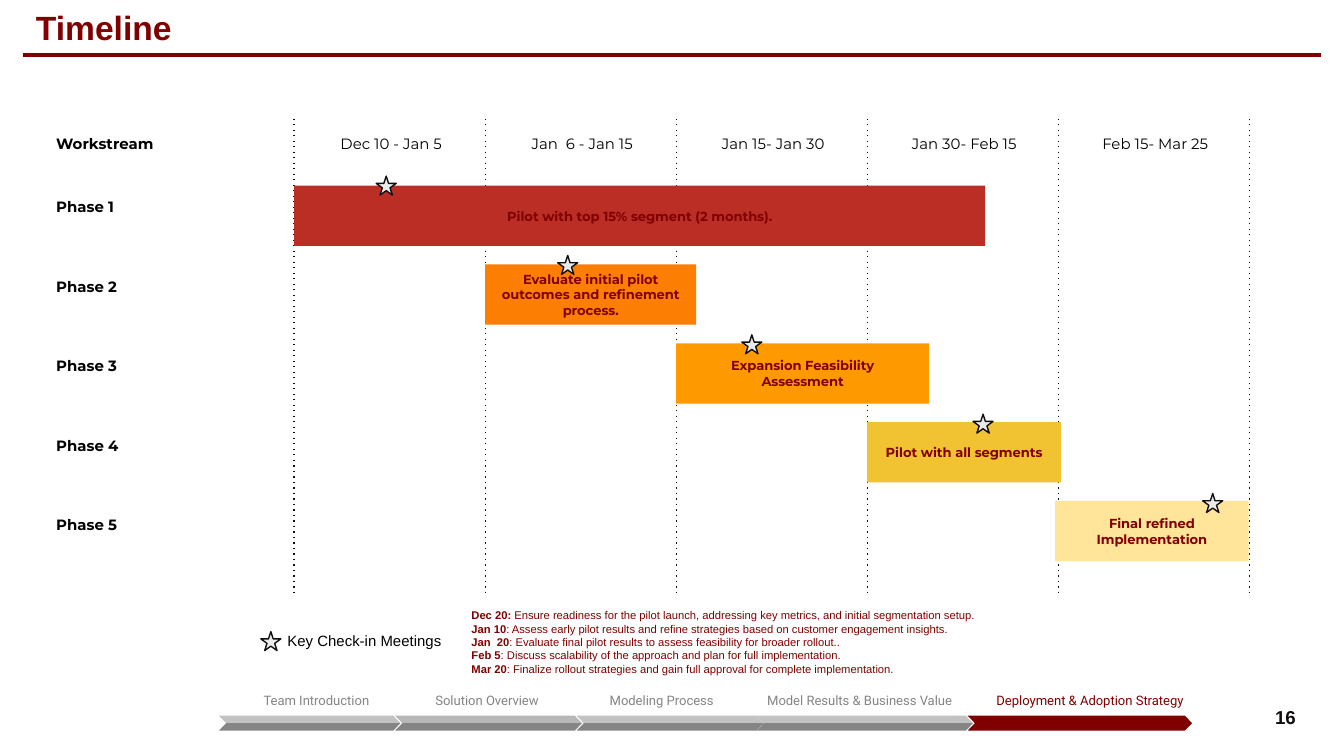
from lxml.etree import SubElement
from pptx import Presentation
from pptx.dml.color import RGBColor
from pptx.enum.dml import MSO_LINE
from pptx.enum.shapes import MSO_CONNECTOR, MSO_SHAPE
from pptx.enum.text import MSO_ANCHOR, MSO_AUTO_SIZE, PP_ALIGN
from pptx.oxml.ns import qn
from pptx.util import Cm, Pt

RED, INK, GRAY = "800000", "110E0E", "858585"
LEFT, STEP = 5.56, 3.61
INSET = 0.25
PLAIN_STYLE = "{2D5ABB26-0587-4C30-8999-92F81FD0307C}"

DATES = ["Dec 10 - Jan 5", "Jan  6 - Jan 15", "Jan 15- Jan 30",
         "Jan 30- Feb 15", "Feb 15- Mar 25"]
PHASES = [
    (LEFT, 13.06, "BB2E26", "Pilot with top 15% segment (2 months).", 7.11),
    (LEFT + STEP, 3.99, "FC7F04",
     "Evaluate initial pilot outcomes and refinement process.", 10.54),
    (LEFT + 2 * STEP, 4.78, "FF9900", "Expansion Feasibility Assessment", 14.02),
    (LEFT + 3 * STEP, 3.66, "F1C232", "Pilot with all segments", 18.39),
    (19.94, 3.66, "FFE599", "Final refined Implementation", 22.73),
]
CHECKS = [
    ("Dec 20: ", "Ensure readiness for the pilot launch, addressing key metrics, "
     "and initial segmentation setup."),
    ("Jan 10", ": Assess early pilot results and refine strategies based on "
     "customer engagement insights."),
    ("Jan  20", ": Evaluate final pilot results to assess feasibility for "
     "broader rollout.."),
    ("Feb 5", ": Discuss scalability of the approach and plan for full "
     "implementation."),
    ("Mar 20", ": Finalize rollout strategies and gain full approval for "
     "complete implementation."),
]
STAGES = [
    ("Team Introduction", 4.34, 3.28, 4.14, 3.43, "C2C2C2", GRAY, GRAY, {}),
    ("Solution Overview", 7.06, 4.29, 7.47, 3.53, "B7B7B7", GRAY, GRAY, {}),
    ("Modeling Process", 10.36, 4.29, 10.9, 3.53, "C2C2C2", GRAY, GRAY, {}),
    ("Model Results & Business Value", 14.25, 4.78, 14.3, 4.09, "C2C2C2", GRAY,
     GRAY, {"align": PP_ALIGN.LEFT}),
    ("Deployment & Adoption Strategy", 17.55, 5.44, 18.29, 4.24, RED, RED,
     RED, {"indent": 0.66}),
]


def put(item, form):
    for name, value in form.items():
        setattr(item, name, value)


def tint(color, code):
    color.rgb = RGBColor.from_string(code)


def style(font, size, face, code, bold=False):
    put(font, {"size": Pt(size), "name": face, "bold": bold})
    tint(font.color, code)


def frame(body, anchor=MSO_ANCHOR.TOP, side=INSET, edge=INSET):
    put(body, {"word_wrap": True, "auto_size": MSO_AUTO_SIZE.NONE,
               "vertical_anchor": anchor,
               "margin_left": Cm(side), "margin_right": Cm(side),
               "margin_top": Cm(edge), "margin_bottom": Cm(edge)})


def write(body, text, size, face, code, bold=False, align=PP_ALIGN.LEFT):
    para = body.paragraphs[0]
    para.text = text
    para.alignment = align
    style(para.runs[0].font, size, face, code, bold)
    return para


def place(item, x, y, w, h):
    put(item, {"left": Cm(x), "top": Cm(y), "width": Cm(w), "height": Cm(h)})


def label(shapes, box, *words, **form):
    body = shapes.add_textbox(*map(Cm, box)).text_frame
    frame(body)
    write(body, *words, **form)
    return body


def rule(shapes, x, y, end, low, code, width, dotted=False):
    line = shapes.add_connector(MSO_CONNECTOR.STRAIGHT, *map(Cm, (x, y, end, low)))
    line.line.width = Pt(width)
    tint(line.line.color, code)
    props = line._element.spPr
    if dotted:
        line.line.dash_style = MSO_LINE.ROUND_DOT
        props.find(".//" + qn("a:prstDash")).set("val", "dot")
    SubElement(props, qn("a:effectLst"))


def block(shapes, kind, box, code, edge=None):
    shape = shapes.add_shape(kind, *map(Cm, box))
    shape.shadow.inherit = False
    shape.fill.solid()
    tint(shape.fill.fore_color, code)
    if edge:
        shape.line.width = Pt(0.75)
        tint(shape.line.color, edge)
    else:
        shape.line.fill.background()
    return shape


def star(shapes, x, y):
    block(shapes, MSO_SHAPE.STAR_5_POINT, (x, y, 0.38, 0.36), "EAEAEA", INK)


def bar(shapes, x, y, w, code, text):
    body = block(shapes, MSO_SHAPE.RECTANGLE, (x, y, w, 1.14), code).text_frame
    frame(body, MSO_ANCHOR.MIDDLE)
    write(body, text, 7, "Montserrat", RED, True, PP_ALIGN.CENTER)


def grid(shapes):
    rows, cols = len(PHASES) + 1, len(DATES) + 1
    table = shapes.add_table(rows, cols, Cm(0.81), Cm(1.93),
                             Cm(4.78 + 5 * STEP), Cm(9.07)).table
    put(table, {"first_row": False, "horz_banding": False})
    table._tbl.tblPr.find(qn("a:tableStyleId")).text = PLAIN_STYLE
    for i, col in enumerate(table.columns):
        col.width = Cm(STEP if i else 4.78)
    for i, row in enumerate(table.rows):
        row.height = Cm(1.5 if i else 1.57)
    for cell in table.iter_cells():
        cell.fill.background()
        put(cell, dict.fromkeys(("margin_left", "margin_right", "margin_top",
                                 "margin_bottom"), Cm(INSET)))
    for i, text in enumerate(["Workstream"] + DATES):
        cell = table.cell(0, i)
        cell.vertical_anchor = MSO_ANCHOR.MIDDLE
        write(cell.text_frame, text, 8, "Montserrat", "000000", i == 0,
              PP_ALIGN.CENTER if i else PP_ALIGN.LEFT)
    for i in range(1, rows):
        write(table.cell(i, 0).text_frame, f"Phase {i}", 8, "Montserrat",
              "000000", True)


def checks(holder):
    place(holder, 8.66, 11.25, 14.45, 1.8)
    body = holder.text_frame
    frame(body)
    for i, pair in enumerate(CHECKS):
        para = body.paragraphs[0] if i == 0 else body.add_paragraph()
        props = para._p.get_or_add_pPr()
        props.set("marL", "0")
        props.set("indent", "0")
        SubElement(props, qn("a:buNone"))
        put(para, {"alignment": PP_ALIGN.LEFT, "space_before": Pt(0)})
        for text, bold in zip(pair, (True, False)):
            run = para.add_run()
            run.text = text
            style(run.font, 6, "Arial", RED, bold)


def stage(shapes, text, x, w, start, span, top, base, code, form):
    group = shapes.add_group_shape().shapes
    body = label(group, (x, 12.8, w, 0.66), text, 7, "Roboto", code,
                 align=form.get("align", PP_ALIGN.CENTER))
    body.margin_left = Cm(INSET + form.get("indent", 0))
    body.paragraphs[0].line_spacing = 1.15
    for i, shade in enumerate((top, base)):
        half = block(group, MSO_SHAPE.PARALLELOGRAM,
                     (start, 13.53 + 0.14 * i, span, 0.14), shade)
        half.adjustments[0] = 0.97
        if i == 0:
            half._element.spPr.find(qn("a:xfrm")).set("flipH", "1")


def main():
    deck = Presentation()
    put(deck, {"slide_width": Cm(25.4), "slide_height": Cm(14.29)})
    slide = deck.slides.add_slide(deck.slide_layouts[1])
    shapes = slide.shapes

    rule(shapes, 0.43, 1.04, 24.97, 1.04, RED, 2)
    place(shapes.title, 0.43, -0.25, 24.54, 1.52)
    frame(shapes.title.text_frame, MSO_ANCHOR.MIDDLE, edge=0.13)
    write(shapes.title.text_frame, "Timeline", 18, "Arial", RED, True)

    for i in range(len(DATES) + 1):
        x = LEFT + i * STEP
        rule(shapes, x, 2.24, x, 11.23, INK, 0.75, True)
    grid(shapes)
    for i, (x, w, code, text, spot) in enumerate(PHASES):
        bar(shapes, x, 3.51 + 1.49 * i, w, code, text)
        star(shapes, spot, 3.33 + 1.5 * i)

    star(shapes, 4.93, 11.94)
    key = label(shapes, (5.11, 11.68, 3.56, 0.86), "Key Check-in Meetings", 8,
                "Arial", "000000", align=PP_ALIGN.CENTER)
    key.vertical_anchor = MSO_ANCHOR.MIDDLE
    checks(slide.placeholders[1])

    for item in STAGES:
        stage(shapes, *item)
    page = label(shapes, (23.6, 13.21, 1.14, 0.76), "16", 10, "Arial", INK, True,
                 align=PP_ALIGN.RIGHT)
    page.margin_top = Cm(0.13)
    deck.save("out.pptx")


if __name__ == "__main__":
    main()
